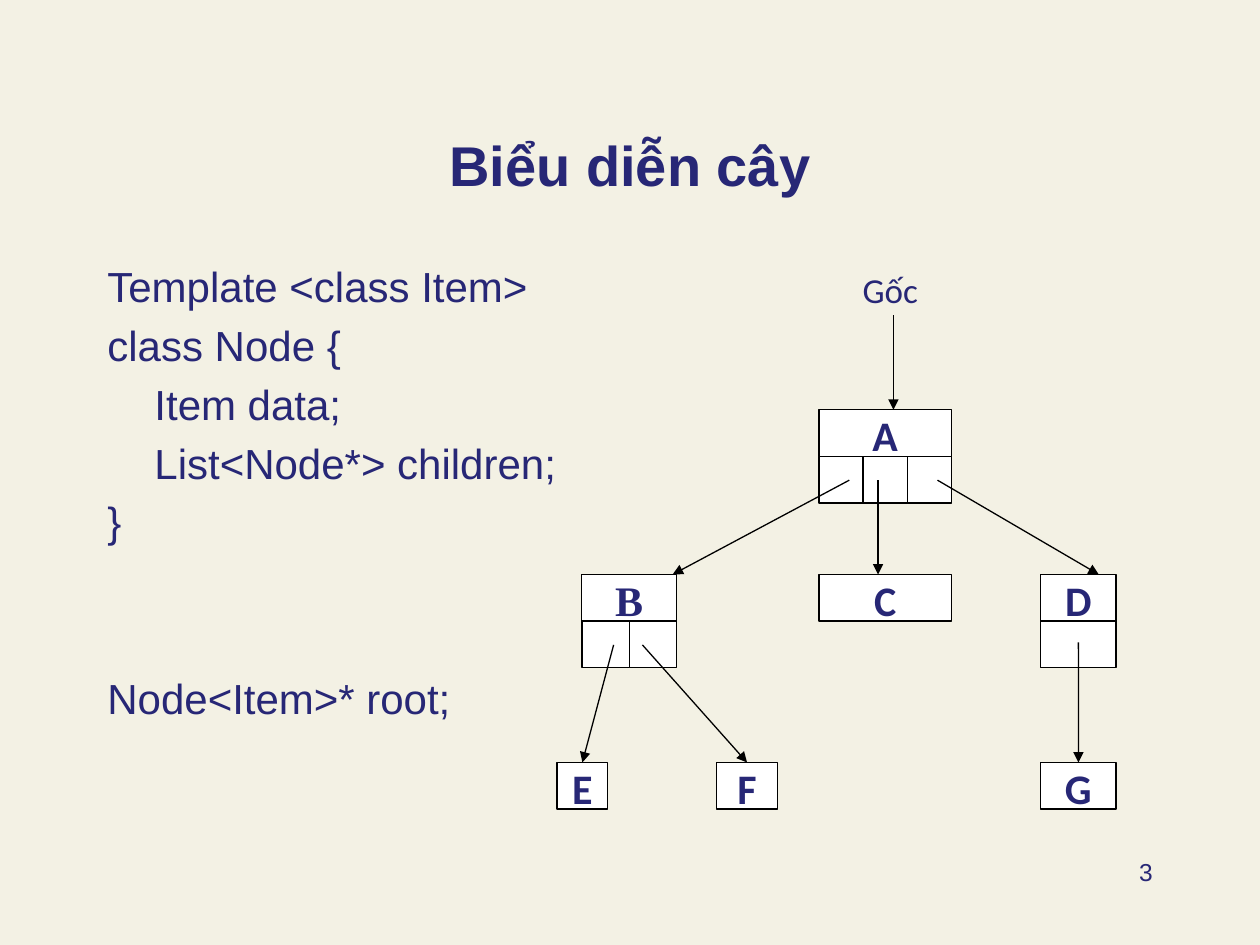
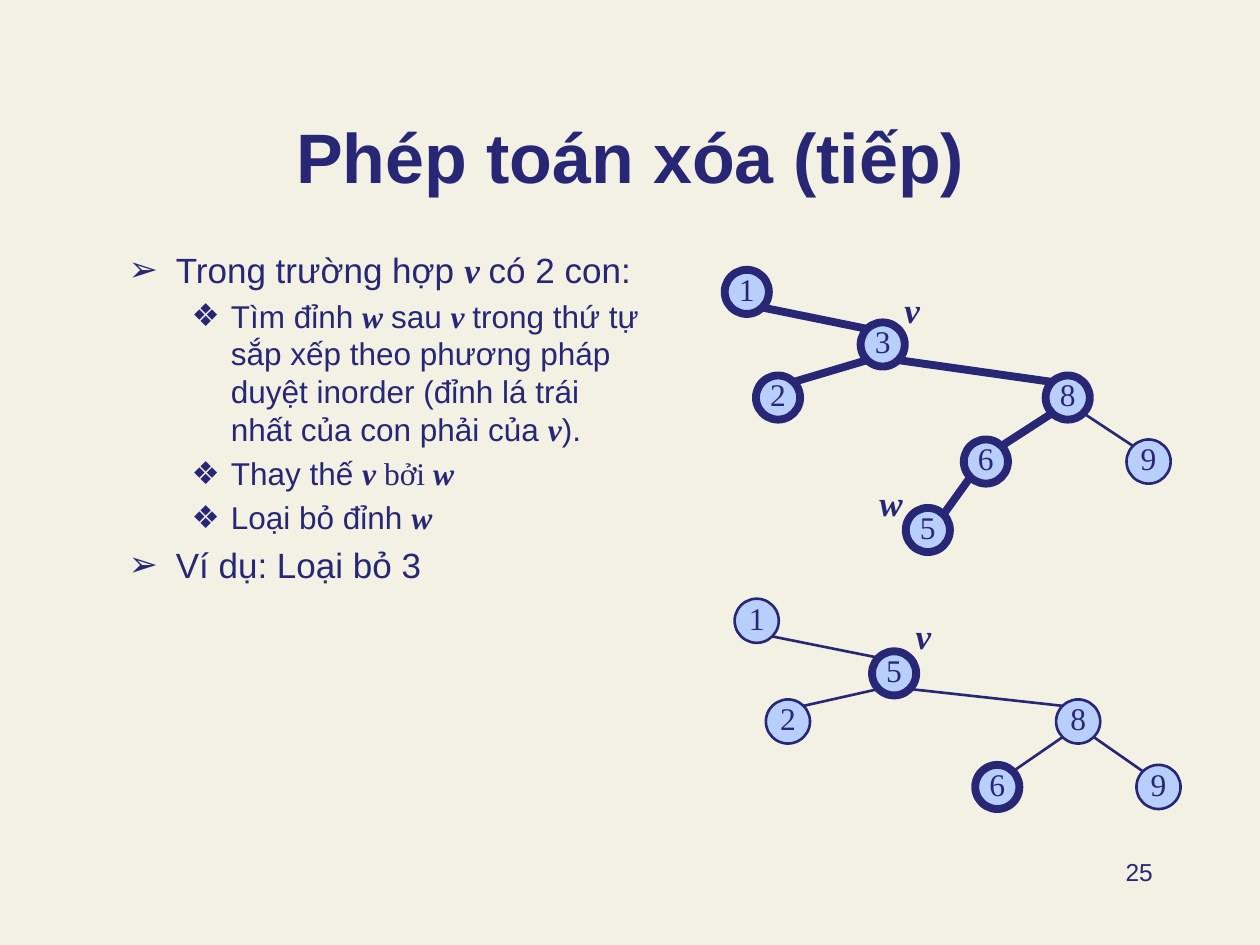
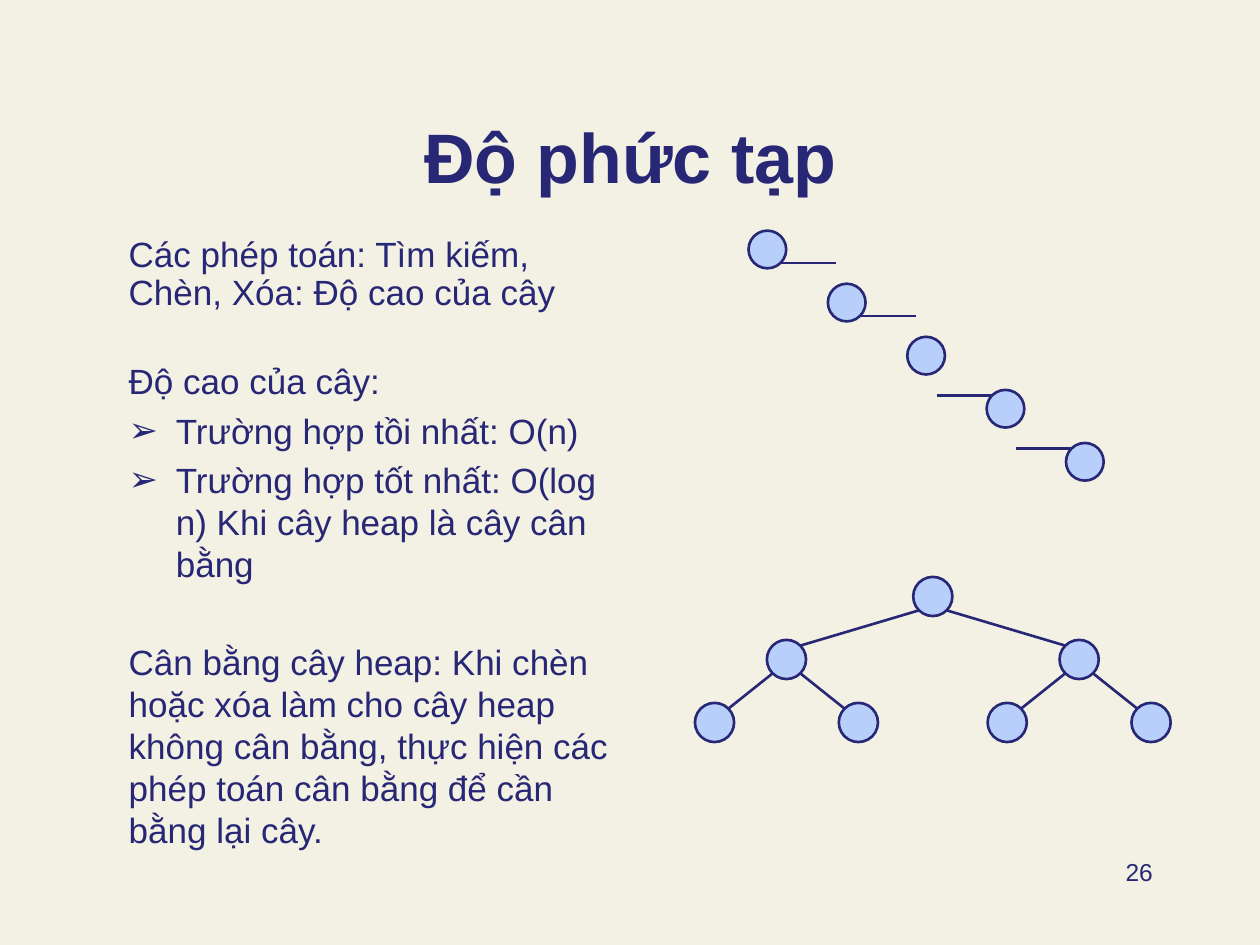
from lxml.etree import SubElement
from pptx import Presentation
from pptx.dml.color import RGBColor
from pptx.enum.shapes import MSO_CONNECTOR, MSO_SHAPE
from pptx.enum.text import MSO_ANCHOR, MSO_AUTO_SIZE, PP_ALIGN
from pptx.oxml.ns import qn
from pptx.util import Cm, Pt

NAVY = RGBColor(0x27, 0x27, 0x76)
CREAM = RGBColor(0xF3, 0xF1, 0xE4)
SKY = RGBColor(0xB8, 0xCF, 0xFB)
WHITE = RGBColor(0xFF, 0xFF, 0xFF)
BLACK = RGBColor(0x00, 0x00, 0x00)

SANS, SERIF, LABEL = "Arial", "Times New Roman", "Calibri"
VARIABLE = dict(font=SERIF, bold=True, italic=True)
ARROW_BULLET = dict(bullet="➢", margin=0.95, hanging=0.95)
DIAMOND_BULLET = dict(bullet="❖", margin=2.06, hanging=0.79, level=1, size=18)
THIN, HEAVY = 1.5, 4.5


def add_run(paragraph, text, font=SANS, size=20, bold=False, italic=False, color=NAVY):
    run = paragraph.add_run()
    run.text = text
    run.font.name = font
    run.font.size = Pt(size)
    run.font.bold = bold
    run.font.italic = italic
    run.font.color.rgb = color


def format_paragraph(paragraph, margin=0, hanging=0, bullet=None, level=0,
                     before=0, spacing=1.0):
    paragraph.level = level
    properties = paragraph._p.get_or_add_pPr()
    properties.set("marL", str(Cm(margin)))
    properties.set("indent", str(-Cm(hanging)))
    if bullet:
        color = SubElement(properties, qn("a:buClr"))
        SubElement(color, qn("a:srgbClr"), val=str(NAVY))
        SubElement(properties, qn("a:buChar"), char=bullet)
    else:
        SubElement(properties, qn("a:buNone"))
    paragraph.space_before = Pt(before)
    paragraph.line_spacing = spacing


class Deck:
    """Holds the shared style and the current slide."""

    def __init__(self):
        self.presentation = Presentation()
        self.presentation.slide_width = Cm(25.4)
        self.presentation.slide_height = Cm(19.05)
        background = self.presentation.slide_master.background.fill
        background.solid()
        background.fore_color.rgb = CREAM
        self.slide = None

    def new_slide(self, title, number, title_size=40):
        layout = self.presentation.slide_layouts[1]
        self.slide = self.presentation.slides.add_slide(layout)
        heading = self.slide.shapes.title
        self.place(heading, 1.91, 1.37, 21.59, 2.74)
        frame = heading.text_frame
        frame.auto_size = MSO_AUTO_SIZE.NONE
        frame.vertical_anchor = MSO_ANCHOR.BOTTOM
        frame.paragraphs[0].alignment = PP_ALIGN.CENTER
        add_run(frame.paragraphs[0], title, size=title_size, bold=True)
        self.text(number, 18.21, 17.15, 5.28, 1.27, align=PP_ALIGN.RIGHT, size=14)

    @staticmethod
    def place(shape, left, top, width, height):
        shape.left, shape.top = Cm(left), Cm(top)
        shape.width, shape.height = Cm(width), Cm(height)

    def body(self, left, top, width, height, items):
        """Each item is (runs, format); a run is a string or (string, format)."""
        holder = self.slide.placeholders[1]
        self.place(holder, left, top, width, height)
        frame = holder.text_frame
        frame.auto_size = MSO_AUTO_SIZE.NONE
        for index, (runs, style) in enumerate(items):
            paragraph = frame.add_paragraph() if index else frame.paragraphs[0]
            style = dict(style)
            size = style.pop("size", 20)
            format_paragraph(paragraph, **style)
            for run in [runs] if isinstance(runs, str) else runs:
                text, run_style = (run, {}) if isinstance(run, str) else run
                add_run(paragraph, text, size=size, **run_style)

    def text(self, text, left, top, width, height, align=PP_ALIGN.LEFT, **style):
        box = self.slide.shapes.add_textbox(Cm(left), Cm(top), Cm(width), Cm(height))
        box.text_frame.word_wrap = True
        box.text_frame.paragraphs[0].alignment = align
        add_run(box.text_frame.paragraphs[0], text, **style)

    def shape(self, preset, left, top, width, height, fill, color, weight,
              text="", anchor=MSO_ANCHOR.TOP, bottom=0, **style):
        shape = self.slide.shapes.add_shape(
            preset, Cm(left), Cm(top), Cm(width), Cm(height))
        shape.shadow.inherit = False
        shape.fill.solid()
        shape.fill.fore_color.rgb = fill
        shape.line.color.rgb = color
        shape.line.width = Pt(weight)
        if text:
            frame = shape.text_frame
            frame.word_wrap = False
            frame.vertical_anchor = anchor
            frame.margin_left = frame.margin_right = frame.margin_top = 0
            frame.margin_bottom = Cm(bottom)
            frame.paragraphs[0].alignment = PP_ALIGN.CENTER
            add_run(frame.paragraphs[0], text, **style)
        return shape

    def box(self, left, top, width, height, text="", font=LABEL):
        return self.shape(MSO_SHAPE.RECTANGLE, left, top, width, height, WHITE,
                          BLACK, 0.75, text, font=font, size=24, bold=True)

    def circle(self, left, top, size, text="", weight=THIN):
        return self.shape(MSO_SHAPE.OVAL, left, top, size, size, SKY, NAVY, weight,
                          text, MSO_ANCHOR.MIDDLE, 0.13, font=SERIF, size=18)

    def line(self, start, end, color=NAVY, weight=THIN, arrow=False):
        points = [Cm(value) for value in (*start, *end)]
        line = self.slide.shapes.add_connector(MSO_CONNECTOR.STRAIGHT, *points)
        line.line.color.rgb = color
        line.line.width = Pt(weight)
        if arrow:
            SubElement(line.line._get_or_add_ln(), qn("a:tailEnd"), type="triangle")
        SubElement(line._element.spPr, qn("a:effectLst"))
        return line

    def tree(self, nodes, edges, size, labelled=True):
        """Nodes map a key to (left, top, weight); edges run from parent to child."""
        for key, (left, top, weight) in nodes.items():
            self.circle(left, top, size, key if labelled else "", weight)
        near, far = 0.146 * size, 0.854 * size
        for parent, child in edges:
            px, py, parent_weight = nodes[parent]
            cx, cy, child_weight = nodes[child]
            from_x, to_x = (far, near) if cx > px else (near, far)
            self.line((px + from_x, py + far), (cx + to_x, cy + near),
                      weight=min(parent_weight, child_weight))


def representation_slide(deck):
    deck.new_slide("Biểu diễn cây", "3", title_size=32)
    code = dict(size=24, margin=0.95, hanging=0.95, before=4.8)
    member = code | dict(hanging=0)
    deck.body(1.91, 5.13, 21.59, 11.61, [
        ("Template <class Item>", code | dict(before=0)),
        ("class Node {", code),
        ("Item data;", member),
        ("List<Node*> children;", member),
        ("}", code),
        ("Node<Item>* root;", code | dict(before=72)),
    ])

    # Nodes: name, left, top, width, number of child cells
    row = 0.94
    boxes = {}
    for name, left, top, width, cells in [
        ("A", 16.51, 8.26, 2.67, 3), ("B", 11.73, 11.58, 1.91, 2),
        ("D", 20.98, 11.58, 1.52, 1), ("C", 16.51, 11.58, 2.67, 0),
        ("E", 11.23, 15.37, 1.02, 0), ("F", 14.45, 15.37, 1.22, 0),
        ("G", 20.98, 15.37, 1.52, 0),
    ]:
        is_b = name == "B"
        boxes[name] = deck.box(left, top, width, 1.04 if is_b else row, name,
                               SERIF if is_b else LABEL)
        for cell in range(cells):
            deck.box(left + cell * width / cells, top + row, width / cells, row)

    # Pointers
    deck.text("Gốc", 17.14, 5.29, 2.33, 1.1, font=LABEL)
    for start, end, target in [
        ((18.01, 6.35), (18.01, 8.26), None),
        ((17.12, 9.68), (13.56, 11.58), None),
        ((17.7, 9.68), (17.7, 11.58), None),
        ((18.9, 9.68), (22.15, 11.58), None),
        ((12.37, 13), (11.74, 15.37), "E"),
        ((12.95, 13), (15.06, 15.37), "F"),
        ((21.74, 12.95), (21.74, 15.37), "G"),
    ]:
        pointer = deck.line(start, end, BLACK, 0.75, arrow=True)
        if target:
            pointer.end_connect(boxes[target], 0)


def deletion_slide(deck):
    deck.new_slide("Phép toán xóa (tiếp)", "25")
    step = DIAMOND_BULLET | dict(before=3.6)
    v, w = ("v", VARIABLE), ("w", VARIABLE)
    v_space, w_space = ("v ", VARIABLE), ("w ", VARIABLE)
    deck.body(2.34, 4.88, 10.8, 11.43, [
        (["Trong trường hợp ", v_space, "có 2 con:"], ARROW_BULLET),
        (["Tìm đỉnh ", w_space, "sau ", v_space,
          "trong thứ tự sắp xếp theo phương pháp duyệt inorder "
          "(đỉnh lá trái nhất của con phải của ", v, ")."], step),
        (["Thay thế ", v_space, ("bởi ", dict(font=SERIF)), w], step),
        (["Loại bỏ đỉnh ", w], step),
        ("Ví dụ: Loại bỏ 3", ARROW_BULLET | dict(before=4)),
    ])

    # Tree before and after the deletion
    before = {
        "3": (17.35, 6.5, HEAVY), "1": (14.61, 5.44, HEAVY),
        "8": (21.08, 7.57, HEAVY), "6": (19.43, 8.86, HEAVY),
        "9": (22.71, 8.86, THIN), "5": (18.26, 10.24, HEAVY),
        "2": (15.24, 7.57, HEAVY),
    }
    after = {
        "5": (17.58, 13.13, HEAVY), "1": (14.81, 12.07, THIN),
        "8": (21.29, 14.1, THIN), "6": (19.66, 15.42, HEAVY),
        "9": (22.91, 15.42, THIN), "2": (15.44, 14.1, THIN),
    }
    deck.tree(before, ["13", "32", "38", "86", "89", "65"], 0.89)
    deck.tree(after, ["15", "52", "58", "86", "89"], 0.89)
    for name, left, top in [("v", 17.98, 5.69), ("w", 17.48, 9.58), ("v", 18.21, 12.27)]:
        deck.text(name, left, top, 1, 1.09, **VARIABLE)


def complexity_slide(deck):
    deck.new_slide("Độ phức tạp", "26")
    case = ARROW_BULLET | dict(before=4)
    deck.body(2.34, 4.65, 10.36, 13.67, [
        ("Các phép toán: Tìm kiếm, Chèn, Xóa: Độ cao của cây", dict(spacing=0.9)),
        ("Độ cao của cây:", dict(spacing=0.9, before=29.6)),
        ("Trường hợp tồi nhất: O(n)", case),
        ("Trường hợp tốt nhất: O(log n) Khi cây heap là cây cân bằng", case),
        ("Cân bằng cây heap: Khi chèn hoặc xóa làm cho cây heap không cân bằng, "
         "thực hiện các phép toán cân bằng để cần bằng lại cây.", dict(before=32)),
    ])

    # Worst case: a chain, with link stubs beside all but the middle node
    size, stub = 0.76, 1.12
    for index in range(5):
        left, top = 15.09 + 1.6 * index, 4.65 + 1.07 * index
        if index < 2:
            x, y = left + 0.854 * size, top + 0.854 * size
            deck.line((x, y), (x + stub, y))
        elif index > 2:
            x, y = left + 0.146 * size, top + 0.146 * size
            deck.line((x - stub, y), (x, y))
        deck.circle(left, top, size)

    # Best case: a balanced tree; each key is the way down from the root
    nodes, edges = {"": (18.41, 11.63, THIN)}, []
    for depth, spread in enumerate((2.95, 1.45)):
        for parent in [key for key in nodes if len(key) == depth]:
            left, top, weight = nodes[parent]
            for side, shift in (("L", -spread), ("R", spread)):
                nodes[parent + side] = (left + shift, top + 1.27, weight)
                edges.append((parent, parent + side))
    deck.tree(nodes, edges, 0.79, labelled=False)


def main():
    deck = Deck()
    representation_slide(deck)
    deletion_slide(deck)
    complexity_slide(deck)
    deck.presentation.save("out.pptx")


if __name__ == "__main__":
    main()
